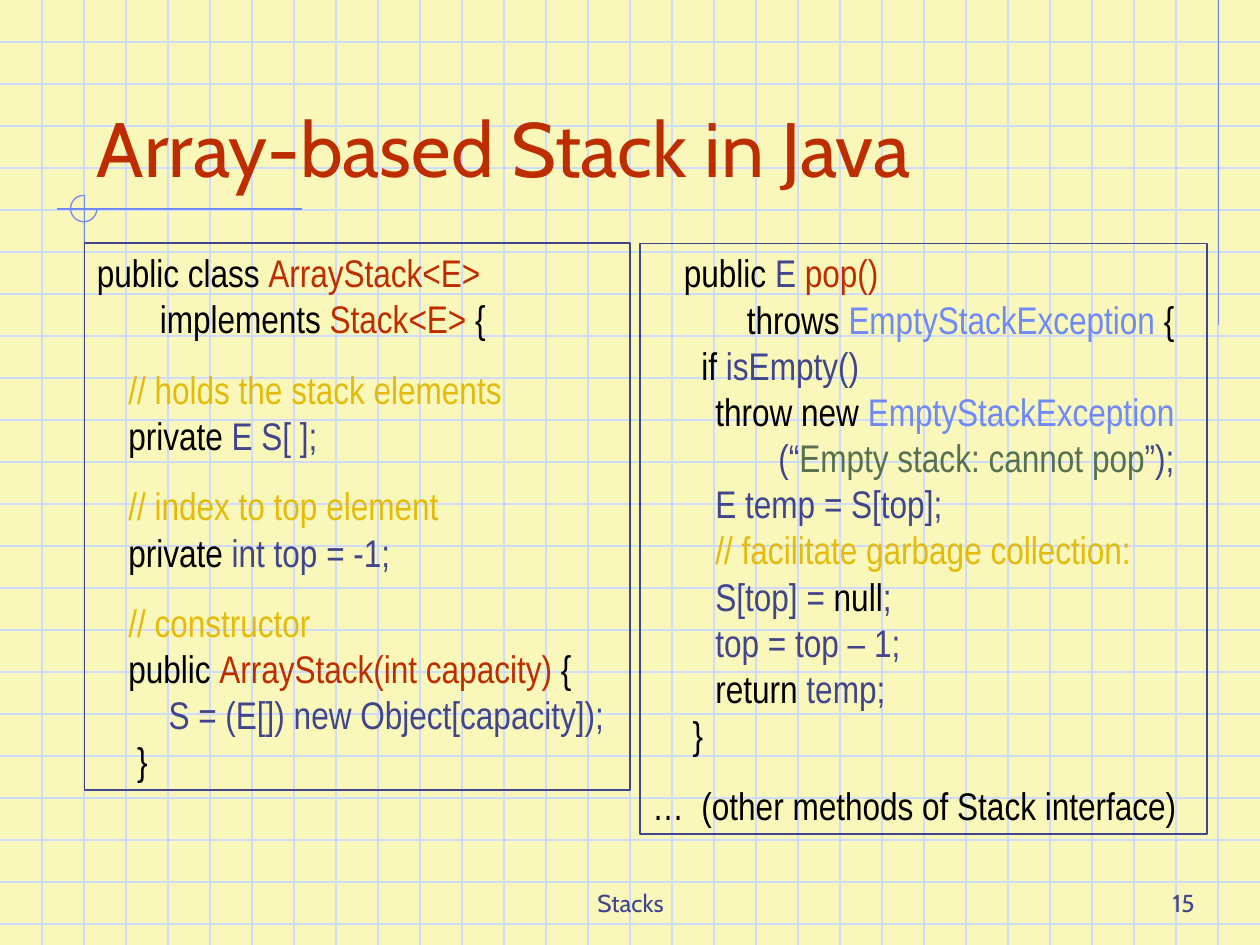
from lxml import etree
from pptx import Presentation
from pptx.dml.color import RGBColor
from pptx.enum.shapes import MSO_CONNECTOR, MSO_SHAPE
from pptx.enum.text import MSO_ANCHOR, MSO_AUTO_SIZE, PP_ALIGN
from pptx.oxml.ns import qn
from pptx.util import Inches, Pt

STRAIGHT = MSO_CONNECTOR.STRAIGHT
RECTANGLE, ARC = MSO_SHAPE.RECTANGLE, MSO_SHAPE.ARC
TOP, BOTTOM = MSO_ANCHOR.TOP, MSO_ANCHOR.BOTTOM
LEFT, CENTER, RIGHT = PP_ALIGN.LEFT, PP_ALIGN.CENTER, PP_ALIGN.RIGHT
GROW = MSO_AUTO_SIZE.SHAPE_TO_FIT_TEXT

PAPER, GRID, BLUE = "F9F8BA", "CFDBFD", "6F89F7"
BLACK, NAVY, RED = "000000", "40458C", "BE2D00"
GOLD, GREEN = "E4BB0C", "577052"
HEADING_FONT, CODE_FONT = "Cabin", "Arial Narrow"
WIDTH, HEIGHT = 10, 7.5
TAB_STEP = 0.25

# Each paragraph is a list of (text, colour); "\n" is a line break
CLASS_CODE = [
    [("public class ", BLACK), ("ArrayStack<E>\n\t\t", RED),
     ("implements ", BLACK), ("Stack<E> ", RED), ("{", BLACK)],
    [("\t// holds the stack elements \n\t", GOLD),
     ("private ", BLACK), ("E S[ ];", NAVY)],
    [("\t// index to top element\n\t", GOLD),
     ("private", BLACK), (" int top = -1;", NAVY)],
    [("\t// constructor\n\t", GOLD), ("public ", BLACK),
     ("ArrayStack(int capacity) ", RED), ("{\n\t\t ", BLACK),
     ("S = (E[]) new Object[capacity]);\n\t ", NAVY), ("}", BLACK)],
]
POP_CODE = [
    [("\tpublic", BLACK), (" E ", NAVY), ("pop()\n\t\t\t", RED),
     ("throws ", BLACK), ("EmptyStackException ", BLUE),
     ("{\n\t  if", BLACK), (" isEmpty()\n\t\t", NAVY),
     ("throw new ", BLACK), ("EmptyStackException\n\t\t\t\t", BLUE),
     ("(“", NAVY), ("Empty stack: cannot pop", GREEN),
     ("”);\n\t\tE temp = S[top];\n\t\t", NAVY),
     ("// facilitate garbage collection: \n\t\t", GOLD),
     ("S[top] = ", NAVY), ("null", BLACK),
     (";\n\t\ttop = top – 1;\n\t\t", NAVY),
     ("return ", BLACK), ("temp;\n\t ", NAVY), ("}", BLACK)],
    [("…  (other methods of Stack interface)", BLACK)],
]


def color(hex_value):
    return RGBColor.from_string(hex_value)


def style_font(font, name, size, hex_value):
    font.name = name
    font.size = Pt(size)
    font.color.rgb = color(hex_value)


def style_line(shape, hex_value):
    shape.line.color.rgb = color(hex_value)
    shape.line.width = Pt(0.75)


def add_line(page, x1, y1, x2, y2, hex_value):
    line = page.shapes.add_connector(
        STRAIGHT, Inches(x1), Inches(y1), Inches(x2), Inches(y2))
    style_line(line, hex_value)
    etree.SubElement(line._element.spPr, qn("a:effectLst"))


def add_outline(page, kind, box, hex_value):
    shape = page.shapes.add_shape(kind, *map(Inches, box))
    shape.shadow.inherit = False
    shape.fill.background()
    style_line(shape, hex_value)
    return shape


def add_grid(page, width, height, per_inch=3):
    for row in range(1, int(height * per_inch) + 1):
        add_line(page, 0, row / per_inch, width, row / per_inch, GRID)
    for column in range(1, int(width * per_inch)):
        add_line(page, column / per_inch, 0, column / per_inch, height, GRID)


def add_ornament(page):
    add_line(page, 9.67, 0, 9.67, 2.58, BLUE)
    add_line(page, 2.4, 1.66, 0.45, 1.66, BLUE)
    add_line(page, 0.67, 1.55, 0.67, 4.09, BLUE)
    # Three quarters of a circle, open at the upper right
    arc = add_outline(page, ARC, (0.56, 1.55, 0.21, 0.21), BLUE)
    arc.adjustments[0] = 0
    arc.adjustments[1] = 162  # 270 degrees


def add_label(page, box, text, size, hex_value, align=LEFT):
    label = page.shapes.add_textbox(*map(Inches, box))
    frame = label.text_frame
    frame.word_wrap = True
    frame.vertical_anchor = BOTTOM
    frame.text = text
    para = frame.paragraphs[0]
    para.alignment = align
    style_font(para.runs[0].font, HEADING_FONT, size, hex_value)


def add_tab_stops(para, count=7):
    stops = etree.SubElement(para._p.get_or_add_pPr(), qn("a:tabLst"))
    for index in range(1, count + 1):
        etree.SubElement(stops, qn("a:tab"),
                         pos=str(Inches(index * TAB_STEP)), algn="l")


def add_code(page, box, paragraphs):
    panel = add_outline(page, RECTANGLE, box, NAVY)
    frame = panel.text_frame
    frame.word_wrap = True
    frame.auto_size = GROW
    frame.vertical_anchor = TOP
    for index, spans in enumerate(paragraphs):
        para = frame.add_paragraph() if index else frame.paragraphs[0]
        add_tab_stops(para)
        para.alignment = LEFT
        if index:
            para.space_before = Pt(13.8)
        for text, hex_value in spans:
            for number, part in enumerate(text.split("\n")):
                if number:
                    para.add_line_break()
                if part:
                    span = para.add_run()
                    span.text = part
                    style_font(span.font, CODE_FONT, 22, hex_value)


def main():
    deck = Presentation()
    deck.slide_width, deck.slide_height = Inches(WIDTH), Inches(HEIGHT)
    page = deck.slides.add_slide(deck.slide_layouts[6])
    page.background.fill.solid()
    page.background.fill.fore_color.rgb = color(PAPER)

    # Graph paper and ornament
    add_grid(page, WIDTH, HEIGHT)
    add_ornament(page)

    # Footer and title
    add_label(page, (3.42, 6.83, 3.17, 0.5), "Stacks", 14, NAVY, CENTER)
    add_label(page, (7.5, 6.83, 2.08, 0.5), "15", 14, NAVY, RIGHT)
    add_label(page, (0.67, 0.33, 8.5, 1.25), "Array-based Stack in Java",
              44, RED)

    # Code panels
    add_code(page, (0.67, 1.93, 4.33, 4.34), CLASS_CODE)
    add_code(page, (5.08, 1.93, 4.5, 4.69), POP_CODE)
    deck.save("out.pptx")


if __name__ == "__main__":
    main()
